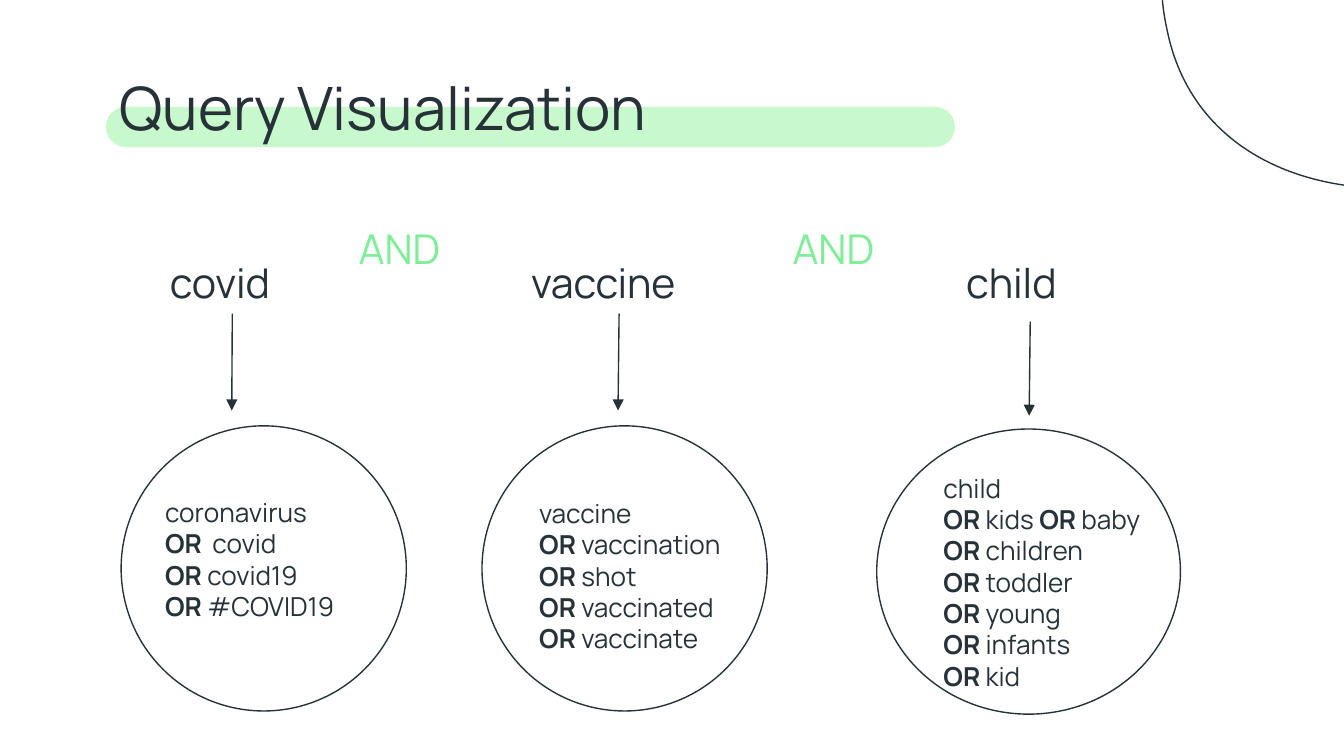
"""Build a slide that shows how three groups of search terms form one query."""
from lxml.etree import SubElement
from pptx import Presentation
from pptx.dml.color import RGBColor
from pptx.enum.shapes import MSO_CONNECTOR, MSO_SHAPE
from pptx.enum.text import MSO_ANCHOR, MSO_AUTO_SIZE, PP_ALIGN
from pptx.oxml.ns import qn
from pptx.util import Cm, Pt

FONT, INK, MINT, GREEN = "Manrope", "263238", "C7F9CC", "80ED99"
TITLE = "Query Visualization"
GROUPS = [
    {"name": "covid", "name_at": (2.96, 4.62, 2.87, 1.04),
     "terms": ["coronavirus", "OR  |covid", "OR |covid19", "OR |#COVID19"],
     "terms_at": (2.87, 9.13, 4.19, 3.25), "circle": (2.29, 8.05, 5.39, 5.39),
     "arrow": (4.39, 5.93, 4.38, 7.76)},
    {"name": "vaccine", "name_at": (9.79, 4.62, 3.94, 1.04),
     "terms": ["vaccine", "OR |vaccination", "OR |shot", "OR |vaccinated", "OR |vaccinate"],
     "terms_at": (9.94, 9.15, 5.16, 3.73), "circle": (9.11, 8.05, 5.39, 5.39),
     "arrow": (11.7, 5.93, 11.68, 7.76)},
    {"name": "child", "name_at": (18.01, 4.62, 2.87, 1.04),
     "terms": ["child", "OR |kids |OR |baby", "OR |children", "OR |toddler",
               "OR |young", "OR |infants", "OR |kid"],
     "terms_at": (17.58, 8.67, 6.63, 4.14), "circle": (16.57, 8.11, 5.74, 5.39),
     "arrow": (19.47, 6.08, 19.45, 7.86)},
]
JOINS = [("AND", (6.53, 3.97, 2.87, 1.04)), ("AND", (14.73, 3.97, 2.87, 1.04))]
BLOB_START = (30.76, -4.7)
BLOB_CURVES = [
    ((30.56, -4.7), (30.3, -4.62), (30.05, -4.5)),
    ((29.06, -3.99), (28.98, -2.87), (27.64, -2.82)),
    ((27.51, -2.79), (27.38, -2.79), (27.25, -2.79)),
    ((26.62, -2.79), (26.01, -2.87), (25.45, -2.87)),
    ((24.77, -2.87), (24.08, -2.77), (23.32, -2.36)),
    ((22.05, -1.68), (21.79, -0.66), (22.05, 0.53)),
    ((22.45, 2.59), (24.23, 3.56), (26.26, 3.56)),
    ((27.15, 3.56), (28.07, 3.38), (28.93, 3.05)),
    ((31.72, 1.98), (33.02, -0.51), (32.39, -2.97)),
    ((32.21, -3.71), (31.67, -4.7), BLOB_START),
]


def color(value):
    return RGBColor.from_string(value)


def place(shape, at):
    shape.left, shape.top, shape.width, shape.height = (Cm(length) for length in at)


def write(box, lines, size, ink=INK):
    """Write lines whose runs are split by bars, with OR in bold."""
    frame = box.text_frame
    frame.word_wrap = True
    frame.auto_size = MSO_AUTO_SIZE.NONE
    frame.vertical_anchor = MSO_ANCHOR.TOP
    frame.margin_left = frame.margin_right = Cm(0.25)
    frame.margin_top = frame.margin_bottom = Cm(0.25)
    for index, line in enumerate(lines):
        para = frame.add_paragraph() if index else frame.paragraphs[0]
        para.alignment = PP_ALIGN.LEFT
        para.line_spacing = 1.0
        para.space_before = para.space_after = Pt(0)
        properties = para._p.get_or_add_pPr()
        properties.set("marL", "0")
        properties.set("indent", "0")
        SubElement(properties, qn("a:buNone"))
        for text in line.split("|"):
            span = para.add_run()
            span.text = text
            span.font.name, span.font.size = FONT, Pt(size)
            span.font.bold = text.strip() == "OR"
            span.font.color.rgb = color(ink)


def add_label(page, text, at, ink=INK):
    box = page.shapes.add_textbox(*(Cm(length) for length in at))
    write(box, [text], 22, ink)


def outline(shape):
    shape.shadow.inherit = False
    shape.fill.background()
    shape.line.color.rgb = color(INK)
    shape.line.width = Pt(0.75)


def add_arrow(page, ends):
    arrow = page.shapes.add_connector(MSO_CONNECTOR.STRAIGHT, *(Cm(length) for length in ends))
    arrow.line.color.rgb = color(INK)
    arrow.line.width = Pt(0.75)
    SubElement(arrow.line._get_or_add_ln(), qn("a:tailEnd"), type="triangle")
    SubElement(arrow._element.spPr, qn("a:effectLst"))


def add_blob(page):
    """Draw the corner outline, turning each three segments into one curve."""
    builder = page.shapes.build_freeform(*(Cm(length) for length in BLOB_START))
    points = [(Cm(x), Cm(y)) for curve in BLOB_CURVES for x, y in curve]
    builder.add_line_segments(points, close=True)
    blob = builder.convert_to_shape()
    segments = list(blob._element.iter(qn("a:lnTo")))
    for first in range(0, len(points), 3):
        curve = segments[first]
        bezier = curve.makeelement(qn("a:cubicBezTo"))
        curve.addprevious(bezier)
        for segment in segments[first:first + 3]:
            bezier.append(segment[0])
            segment.getparent().remove(segment)
    outline(blob)
    return blob


def add_backdrop(page):
    """Add the title highlight and the corner curve behind the placeholders."""
    pill = page.shapes.add_shape(MSO_SHAPE.ROUNDED_RECTANGLE, 0, 0, 0, 0)
    place(pill, (2.0, 2.02, 16.05, 0.76))
    pill.adjustments[0] = 0.5
    pill.shadow.inherit = False
    pill.fill.solid()
    pill.fill.fore_color.rgb = color(MINT)
    pill.line.fill.background()
    for depth, shape in enumerate((pill, add_blob(page))):
        page.shapes._spTree.insert(2 + depth, shape._element)


def main():
    deck = Presentation()
    deck.slide_width, deck.slide_height = Cm(25.4), Cm(14.29)
    page = deck.slides.add_slide(deck.slide_layouts.get_by_name("Comparison"))
    title, *bodies = page.placeholders
    add_backdrop(page)
    place(title, (2.01, 1.08, 21.41, 1.7))
    write(title, [TITLE], 32)
    for group, body in zip(GROUPS, bodies):
        place(body, group["terms_at"])
        write(body, group["terms"], 14)
        add_label(page, group["name"], group["name_at"])
        circle = page.shapes.add_shape(MSO_SHAPE.OVAL, 0, 0, 0, 0)
        place(circle, group["circle"])
        outline(circle)
        add_arrow(page, group["arrow"])
    for body in bodies[len(GROUPS):]:
        body._element.getparent().remove(body._element)
    for text, at in JOINS:
        add_label(page, text, at, GREEN)
    deck.save("out.pptx")


if __name__ == "__main__":
    main()
